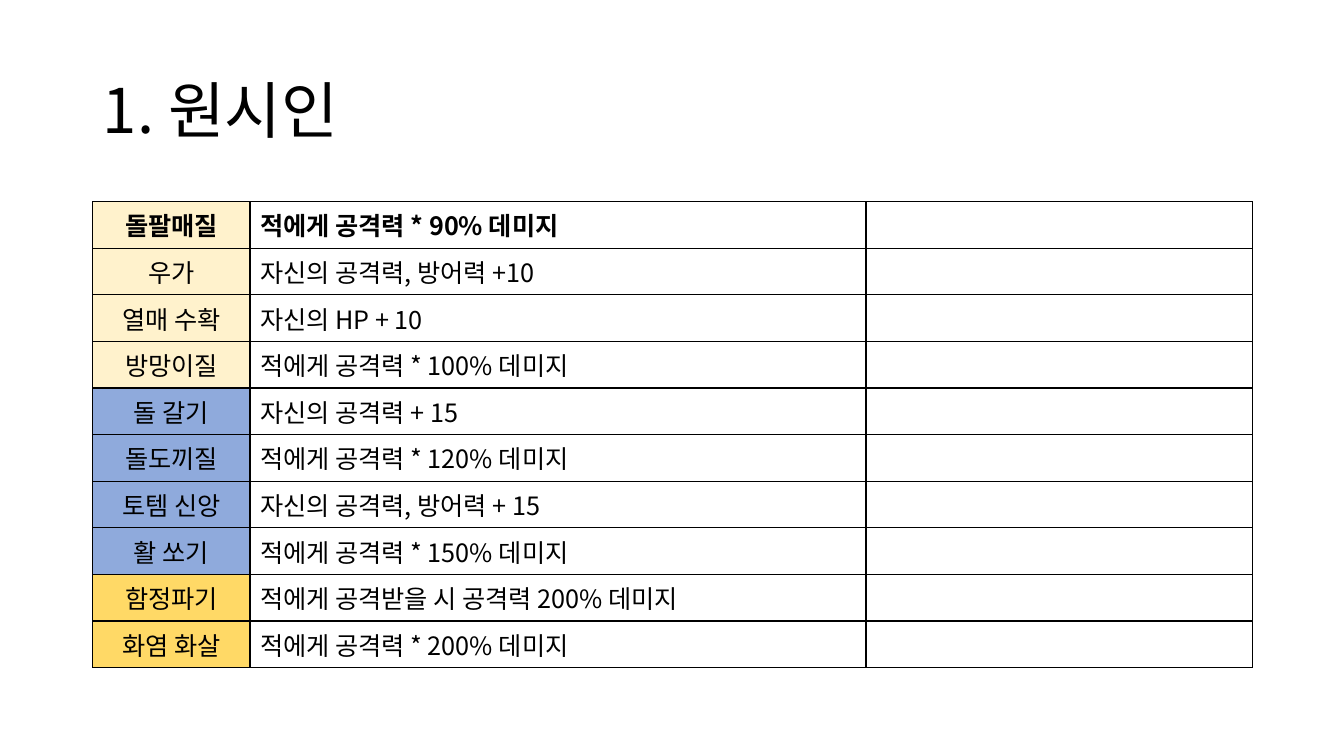
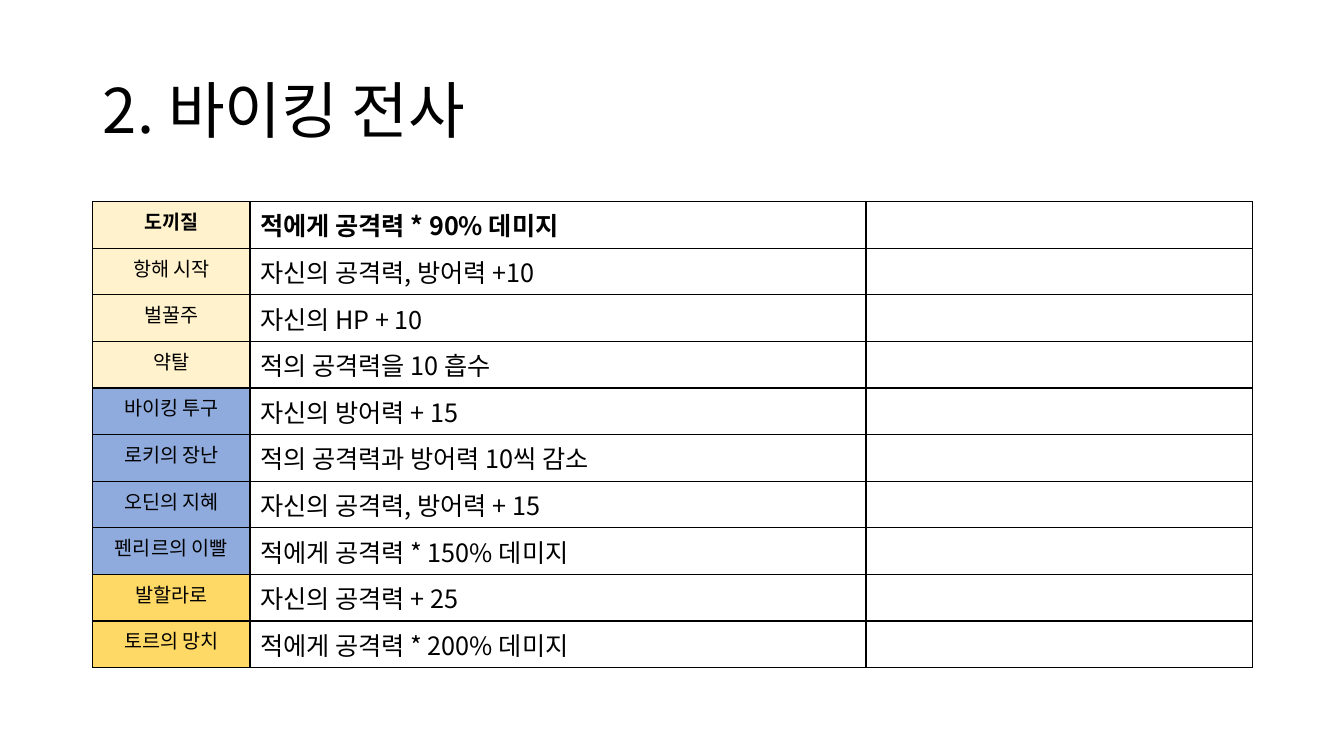
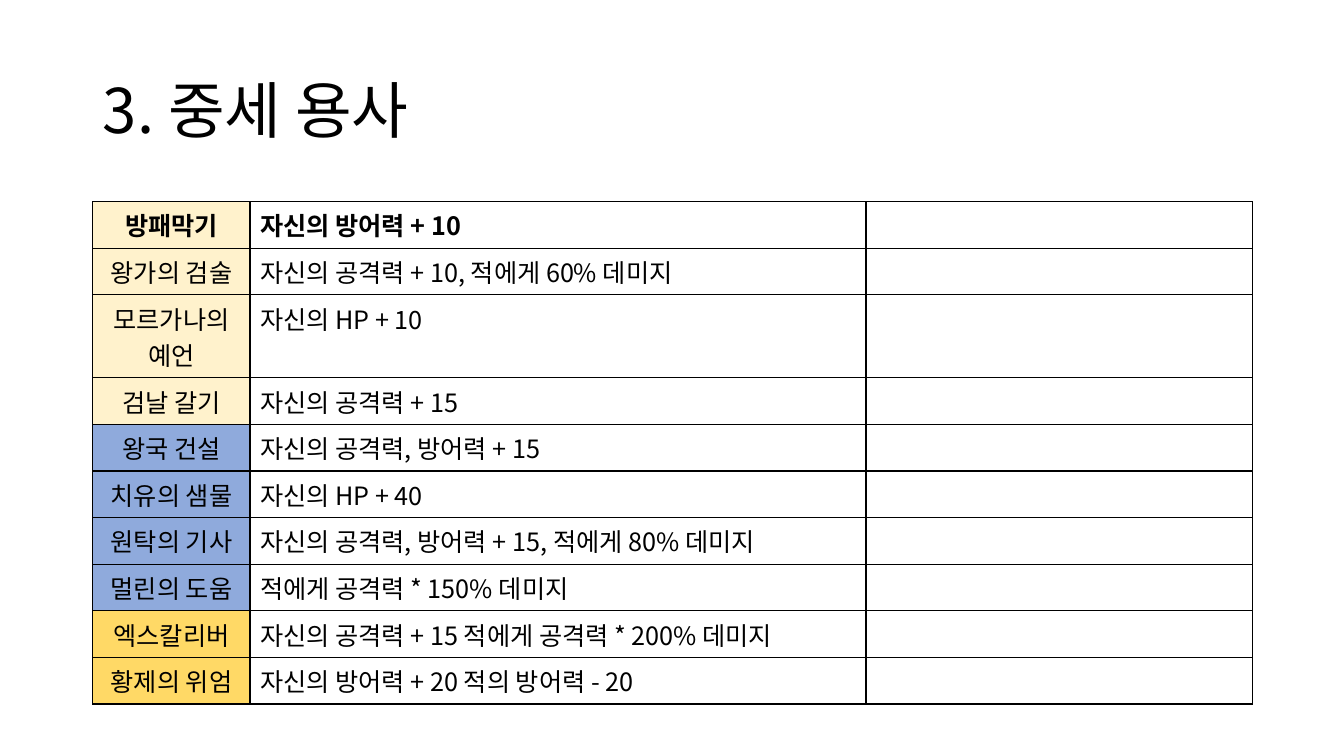
from dataclasses import dataclass
from itertools import chain, repeat
from lxml.etree import SubElement
from pptx import Presentation
from pptx.dml.color import RGBColor
from pptx.enum.text import MSO_ANCHOR, MSO_AUTO_SIZE, PP_ALIGN
from pptx.oxml.ns import qn
from pptx.util import Inches, Pt


@dataclass(frozen=True)
class Theme:
    font: str = "Noto Sans CJK KR"
    ink: str = "000000"
    paper: str = "FFFFFF"
    tiers: tuple = (("FFF2CC", 4), ("8FAADC", 4), ("FFD966", 2))
    head: int = 44
    body: int = 18
    small: int = 14
    line: int = 1


THEME = Theme()
TITLE = (0.92, 0.4, 11.5, 1.45)
GRID = (0.92, 2, 11.5, 4.1)
SHARES = (1.56, 6.11, 3.83)


def apply(item, values):
    for name, value in values.items():
        setattr(item, name, value)


def write(frame, text, size, bold=False, align=PP_ALIGN.LEFT):
    para = frame.paragraphs[0]
    para.alignment = align
    run = para.add_run()
    run.text = text
    apply(run.font, {"name": THEME.font, "size": Pt(size), "bold": bold})
    run.font.color.rgb = RGBColor.from_string(THEME.ink)
    SubElement(run.font._element, qn("a:ea"), typeface=THEME.font)
    return para


def paint(cell, color):
    props = cell._tc.get_or_add_tcPr()
    for side in ("lnL", "lnR", "lnT", "lnB"):
        edge = SubElement(props, qn(f"a:{side}"), w=str(Pt(THEME.line)))
        SubElement(SubElement(edge, qn("a:solidFill")), qn("a:srgbClr"), val=THEME.ink)
    cell.fill.solid()
    cell.fill.fore_color.rgb = RGBColor.from_string(color)


def add_title(slide, box, text):
    title = slide.shapes.title
    apply(title, dict(zip(("left", "top", "width", "height"), map(Inches, box))))
    frame = title.text_frame
    apply(frame, {"word_wrap": True, "auto_size": MSO_AUTO_SIZE.NONE,
                  "vertical_anchor": MSO_ANCHOR.MIDDLE})
    write(frame, text, THEME.head).line_spacing = 0.9


def add_skills(slide, box, skills, size):
    table = slide.shapes.add_table(len(skills), len(SHARES), *map(Inches, box)).table
    apply(table, {"first_row": False, "horz_banding": False})
    for column, share in zip(table.columns, SHARES):
        column.width = Inches(box[2] * share / sum(SHARES))
    tints = chain.from_iterable(repeat(tint, count) for tint, count in THEME.tiers)
    for index, (row, tint, (name, effect)) in enumerate(zip(table.rows, tints, skills)):
        row.height = Inches(box[3] / len(skills))
        for cell, color in zip(row.cells, (tint, THEME.paper, THEME.paper)):
            paint(cell, color)
        write(row.cells[0].text_frame, name, size, index == 0, PP_ALIGN.CENTER)
        write(row.cells[1].text_frame, effect, THEME.body, index == 0)


def add_hero(deck, title, skills, size=THEME.body):
    slide = deck.slides.add_slide(deck.slide_layouts[5])
    add_title(slide, TITLE, title)
    add_skills(slide, GRID, skills, size)


CAVE = (
    ("돌팔매질", "적에게 공격력 * 90% 데미지"),
    ("우가", "자신의 공격력, 방어력 +10"),
    ("열매 수확", "자신의 HP + 10"),
    ("방망이질", "적에게 공격력 * 100% 데미지"),
    ("돌 갈기", "자신의 공격력 + 15"),
    ("돌도끼질", "적에게 공격력 * 120% 데미지"),
    ("토템 신앙", "자신의 공격력, 방어력 + 15"),
    ("활 쏘기", "적에게 공격력 * 150% 데미지"),
    ("함정파기", "적에게 공격받을 시 공격력 200% 데미지"),
    ("화염 화살", "적에게 공격력 * 200% 데미지"),
)
VIKING = (
    ("도끼질", "적에게 공격력 * 90% 데미지"),
    ("항해 시작", "자신의 공격력, 방어력 +10"),
    ("벌꿀주", "자신의 HP + 10"),
    ("약탈", "적의 공격력을 10 흡수"),
    ("바이킹 투구", "자신의 방어력 + 15"),
    ("로키의 장난", "적의 공격력과 방어력 10씩 감소"),
    ("오딘의 지혜", "자신의 공격력, 방어력 + 15"),
    ("펜리르의 이빨", "적에게 공격력 * 150% 데미지"),
    ("발할라로", "자신의 공격력 + 25"),
    ("토르의 망치", "적에게 공격력 * 200% 데미지"),
)
KNIGHT = (
    ("방패막기", "자신의 방어력 + 10"),
    ("왕가의 검술", "자신의 공격력 + 10, 적에게 60% 데미지"),
    ("모르가나의 예언", "자신의 HP + 10"),
    ("검날 갈기", "자신의 공격력 + 15"),
    ("왕국 건설", "자신의 공격력, 방어력 + 15"),
    ("치유의 샘물", "자신의 HP + 40"),
    ("원탁의 기사", "자신의 공격력, 방어력 + 15, 적에게 80% 데미지"),
    ("멀린의 도움", "적에게 공격력 * 150% 데미지"),
    ("엑스칼리버", "자신의 공격력 + 15 적에게 공격력 * 200% 데미지"),
    ("황제의 위엄", "자신의 방어력 + 20 적의 방어력 - 20"),
)

deck = Presentation()
apply(deck, {"slide_width": Inches(13.33), "slide_height": Inches(7.5)})
add_hero(deck, "1. 원시인", CAVE)
add_hero(deck, "2. 바이킹 전사", VIKING, THEME.small)
add_hero(deck, "3. 중세 용사", KNIGHT)
deck.save("out.pptx")
